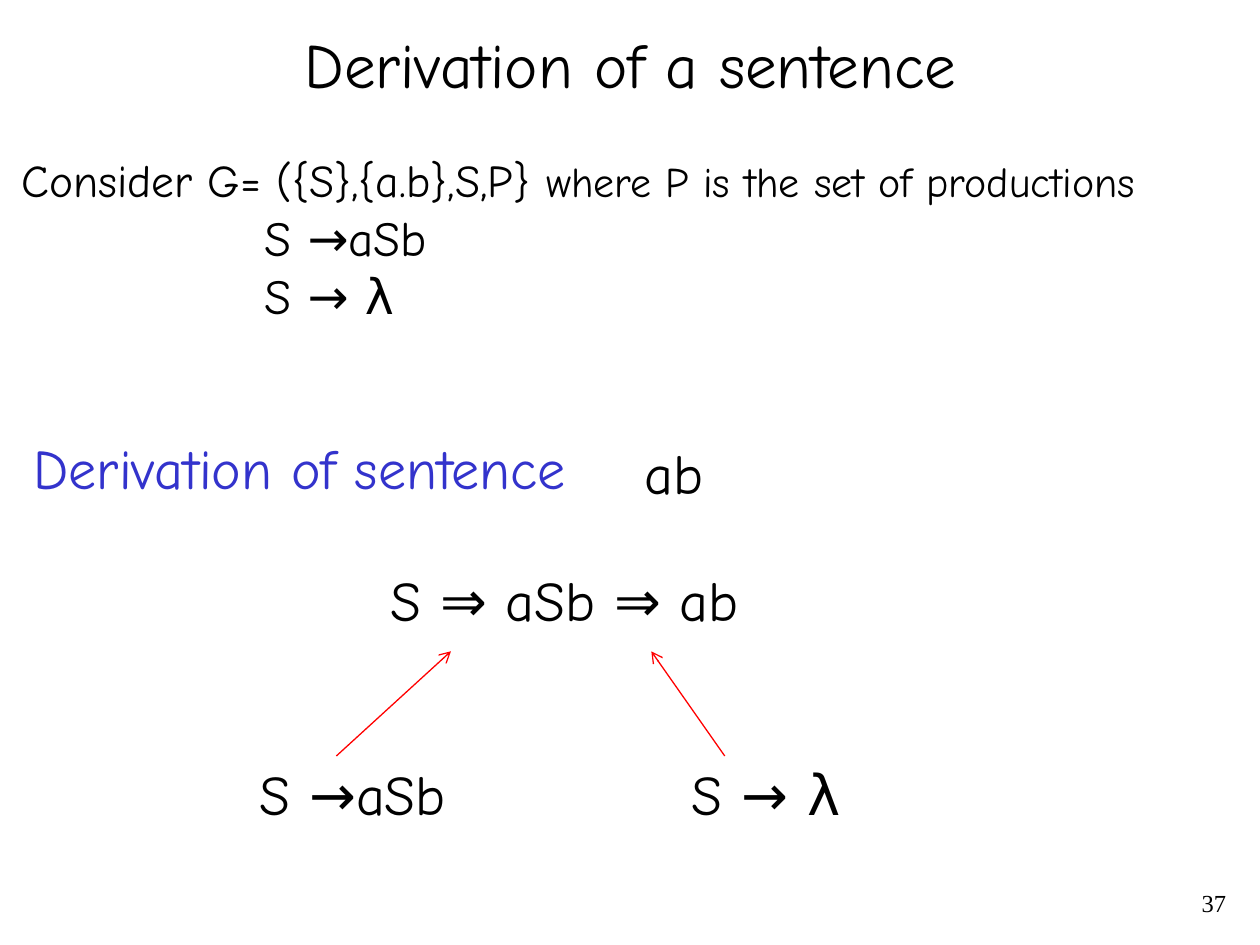
from lxml.etree import SubElement
from pptx import Presentation
from pptx.dml.color import RGBColor
from pptx.enum.shapes import MSO_CONNECTOR
from pptx.enum.text import MSO_ANCHOR as ANCHOR, PP_ALIGN as ALIGN
from pptx.oxml.ns import qn
from pptx.util import Cm, Pt

FONT = "Comic Neue"
BLACK, BLUE, RED = "000000", "3333CC", "FF0000"
GROW, SHRINK = "S →aSb", "S → λ"


def rgb(color):
    return RGBColor.from_string(color)


def add_run(p, text, size, color=BLACK, font=FONT):
    r = p.add_run()
    r.text = text
    r.font.size = Pt(size)
    r.font.name = font
    r.font.color.rgb = rgb(color)


def add_frame(s, left, top, width, height, wrap=True):
    sp = s.shapes.add_textbox(Cm(left), Cm(top), Cm(width), Cm(height))
    tf = sp.text_frame
    tf.word_wrap = wrap
    return tf


def add_label(s, text, left, top, width, height=1.63, size=32,
              color=BLACK, font=FONT, align=ALIGN.LEFT, anchor=ANCHOR.TOP):
    tf = add_frame(s, left, top, width, height)
    tf.vertical_anchor = anchor
    p = tf.paragraphs[0]
    p.alignment = align
    add_run(p, text, size, color, font)


def add_grammar(s):
    tf = add_frame(s, 0.18, 2.95, 25.22, 3.76)
    p = tf.paragraphs[0]
    add_run(p, "Consider G= ({S},{a.b},S,P} ", 26)
    add_run(p, "where P is the set of productions", 24)
    for rule in (GROW, SHRINK):
        p = tf.add_paragraph()
        p._p.get_or_add_pPr().set("marL", str(Cm(4.9)))
        add_run(p, rule, 28)


def add_arrow(s, x1, y1, x2, y2):
    line = s.shapes.add_connector(
        MSO_CONNECTOR.STRAIGHT, Cm(x1), Cm(y1), Cm(x2), Cm(y2))
    line.line.color.rgb = rgb(RED)
    line.line.width = Pt(0.75)
    SubElement(line.line._get_or_add_ln(), qn("a:tailEnd"), type="arrow")
    SubElement(line._element.spPr, qn("a:effectLst"))


def main():
    prs = Presentation()
    prs.slide_width, prs.slide_height = Cm(25.4), Cm(19.05)
    s = prs.slides.add_slide(prs.slide_layouts[6])

    add_label(s, "Derivation of a sentence", 0.43, 0.43, 24.56, 1.7, size=36,
              align=ALIGN.CENTER, anchor=ANCHOR.MIDDLE)
    add_grammar(s)
    add_label(s, "Derivation of sentence", 0.43, 8.62, 12, color=BLUE)
    add_label(s, "ab", 12.75, 8.71, 2.1)
    add_label(s, "S ⇒ aSb ⇒ ab", 7.62, 11.28, 8.26)

    for rule, left, x1, x2 in ((GROW, 4.98, 6.78, 9.09),
                               (SHRINK, 13.7, 14.61, 13.13)):
        add_label(s, rule, left, 15.19, 5)
        add_arrow(s, x1, 15.24, x2, 13.13)

    add_label(s, "37", 19.69, 17.78, 5.28, 0.85, size=14,
              font="Times New Roman", align=ALIGN.RIGHT)
    prs.save("out.pptx")


if __name__ == "__main__":
    main()
